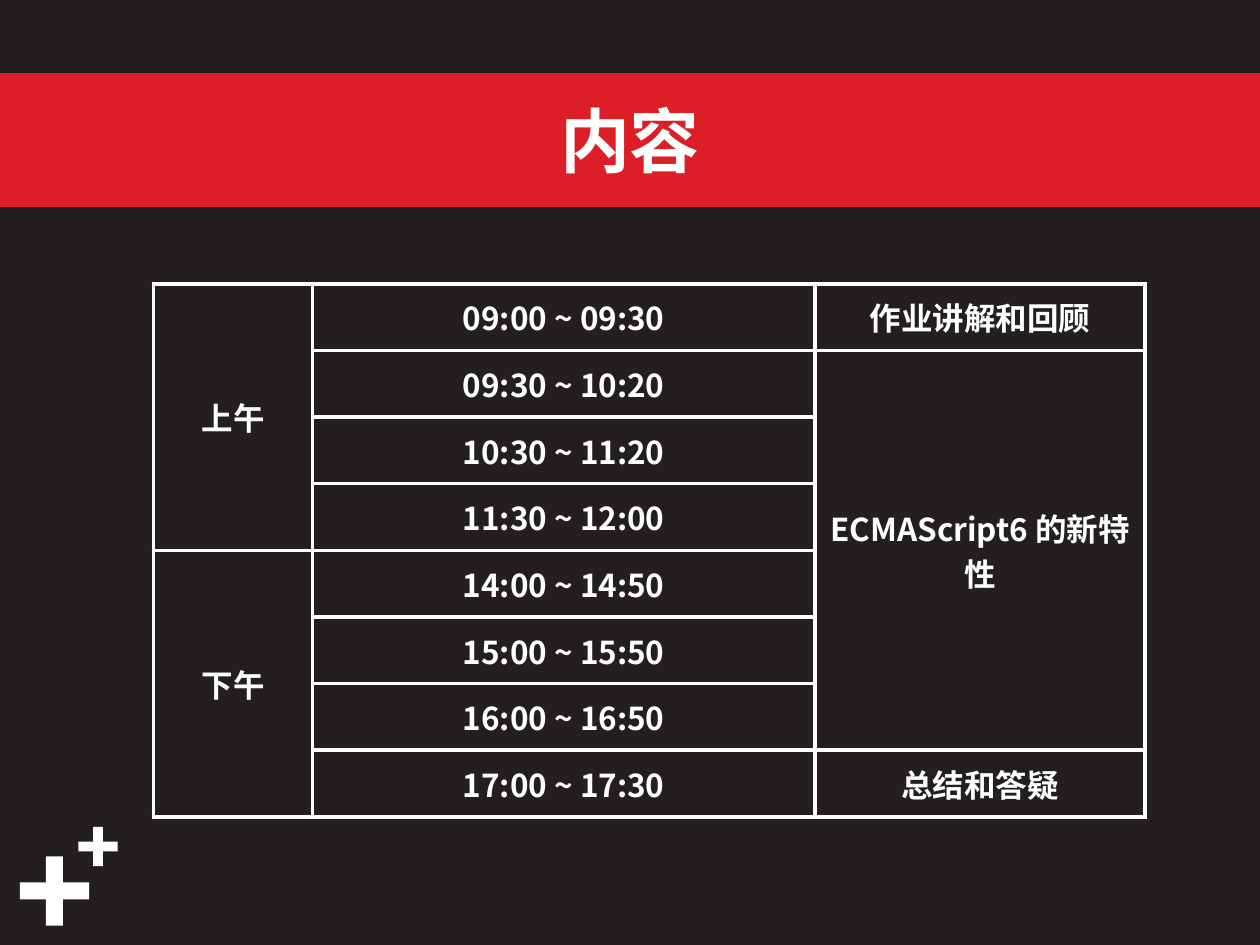
"""Build a course schedule slide with a title band and a merged timetable."""
from lxml import etree
from pptx import Presentation
from pptx.dml.color import RGBColor
from pptx.enum import shapes, text
from pptx.oxml.ns import qn
from pptx.util import Pt

COLORS = {"background": "231F20", "band": "DC1F26", "white": "FFFFFF"}
FONT = "Noto Sans CJK SC"


def write_text(frame, content, size):
    frame.vertical_anchor = text.MSO_ANCHOR.MIDDLE
    paragraph = frame.paragraphs[0]
    paragraph.alignment = text.PP_ALIGN.CENTER
    run = paragraph.add_run()
    run.text = content
    run.font.size = Pt(size)
    run.font.bold = True
    run.font.name = FONT
    run.font.color.rgb = RGBColor.from_string(COLORS["white"])
    etree.SubElement(run.font._element, qn("a:ea"), typeface=FONT)


def draw_borders(cell, color, width):
    properties = cell._tc.get_or_add_tcPr()
    for index, side in enumerate(("a:lnL", "a:lnR", "a:lnT", "a:lnB")):
        line = etree.Element(qn(side), w=str(Pt(width)))
        fill = etree.SubElement(line, qn("a:solidFill"))
        etree.SubElement(fill, qn("a:srgbClr"), val=color)
        properties.insert(index, line)


presentation = Presentation()
presentation.slide_width, presentation.slide_height = Pt(720), Pt(540)
slide = presentation.slides.add_slide(presentation.slide_layouts[5])
slide.background.fill.solid()
slide.background.fill.fore_color.rgb = RGBColor.from_string(COLORS["background"])

for left, top, size in ((11.3, 489.3, 39.6), (44.8, 472.5, 22.5)):
    plus = slide.shapes.add_shape(
        shapes.MSO_SHAPE.CROSS, Pt(left), Pt(top), Pt(size), Pt(size))
    plus.adjustments[0] = 0.378
    plus.shadow.inherit = False
    plus.fill.solid()
    plus.fill.fore_color.rgb = RGBColor.from_string(COLORS["white"])
    plus.line.fill.background()

title = slide.shapes.title
title.left, title.top, title.width, title.height = Pt(0), Pt(43.2), Pt(720), Pt(73.5)
title.fill.solid()
title.fill.fore_color.rgb = RGBColor.from_string(COLORS["band"])
title.line.color.rgb = RGBColor.from_string(COLORS["band"])
title.line.width = Pt(3)
write_text(title.text_frame, "内容", 40)

times = ["09:00 ~ 09:30", "09:30 ~ 10:20", "10:30 ~ 11:20", "11:30 ~ 12:00",
         "14:00 ~ 14:50", "15:00 ~ 15:50", "16:00 ~ 16:50", "17:00 ~ 17:30"]
column_widths = (90.7, 287.3, 188.6)
row_height = 38.08
schedule = slide.shapes.add_table(
    len(times), len(column_widths), Pt(87.8), Pt(162.2),
    Pt(sum(column_widths)), Pt(row_height * len(times))).table
schedule.first_row = schedule.horz_banding = False
for column, width in zip(schedule.columns, column_widths):
    column.width = Pt(width)
for row in schedule.rows:
    row.height = Pt(row_height)
for cell in schedule.iter_cells():
    cell.fill.background()
    draw_borders(cell, COLORS["white"], 2.25)

entries = [(row, 1, 1, time) for row, time in enumerate(times)]
entries += [(0, 0, 4, "上午"), (4, 0, 4, "下午"), (0, 2, 1, "作业讲解和回顾"),
            (1, 2, 6, "ECMAScript6 的新特性"), (7, 2, 1, "总结和答疑")]
for row, column, span, content in entries:
    cell = schedule.cell(row, column)
    if span > 1:
        cell.merge(schedule.cell(row + span - 1, column))
    cell.vertical_anchor = text.MSO_ANCHOR.MIDDLE
    write_text(cell.text_frame, content, 18)

presentation.save("out.pptx")
